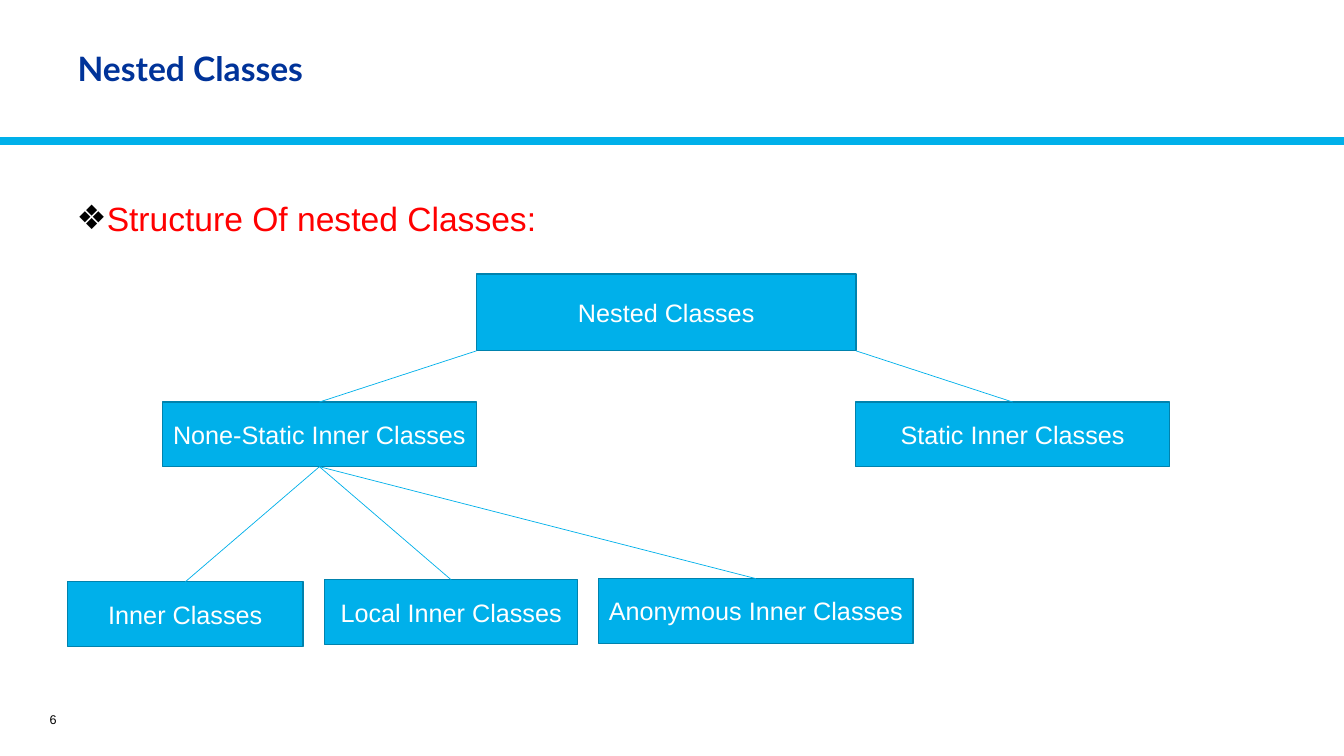
from lxml import etree
from pptx import Presentation, util as u
from pptx.dml.color import RGBColor
from pptx.enum import shapes, text
from pptx.oxml import ns

NAVY = RGBColor(0x00, 0x33, 0x99)
CYAN = RGBColor(0x00, 0xB0, 0xEA)
TEAL = RGBColor(0x00, 0x82, 0xAD)
RED = RGBColor(0xFF, 0x00, 0x00)
BLACK = RGBColor(0x00, 0x00, 0x00)
WHITE = RGBColor(0xFF, 0xFF, 0xFF)
WIDTH, HEIGHT = 33.87, 19.05
TOP, BOTTOM = 0, 2  # connection sites of a rectangle


class ClassTreePage:
    """Holds the style and the page; lengths are in centimetres."""

    def __init__(self, deck, font="Arial"):
        self.page = deck.slides.add_slide(deck.slide_layouts[1])
        self.font = font

    def place(self, box, left, top, width, height):
        box.left, box.top = u.Cm(left), u.Cm(top)
        box.width, box.height = u.Cm(width), u.Cm(height)

    def add_words(self, box, words, size, color, align, anchor, font=None, bold=False):
        frame = box.text_frame
        frame.word_wrap = True
        frame.auto_size = text.MSO_AUTO_SIZE.NONE
        frame.vertical_anchor = anchor
        para = frame.paragraphs[0]
        para.alignment = align
        para.space_before = u.Pt(0)
        span = para.add_run()
        span.text = words
        span.font.size = u.Pt(size)
        span.font.name = font or self.font
        span.font.bold = bold
        span.font.color.rgb = color
        return para

    def title(self, words, *area):
        box = self.page.shapes.title
        self.place(box, *area)
        para = self.add_words(box, words, 24, NAVY, text.PP_ALIGN.LEFT,
                              text.MSO_ANCHOR.MIDDLE, "Lato", True)
        para.line_spacing = 0.9

    def bullet(self, words, *area):
        box = self.page.placeholders[1]
        self.place(box, *area)
        para = self.add_words(box, words, 24, RED, text.PP_ALIGN.LEFT, text.MSO_ANCHOR.TOP)
        props = para._p.get_or_add_pPr()
        props.set("marL", str(u.Cm(0.58)))
        props.set("indent", str(-u.Cm(0.58)))
        color = etree.SubElement(props, ns.qn("a:buClr"))
        etree.SubElement(color, ns.qn("a:srgbClr"), val=str(BLACK))
        etree.SubElement(props, ns.qn("a:buFont"), typeface=self.font)
        etree.SubElement(props, ns.qn("a:buChar"), char="❖")

    def number(self, words, *area):
        box = self.page.shapes.add_textbox(*map(u.Cm, area))
        self.add_words(box, words, 9, BLACK, text.PP_ALIGN.RIGHT, text.MSO_ANCHOR.MIDDLE)

    def node(self, words, *area):
        box = self.page.shapes.add_shape(shapes.MSO_SHAPE.RECTANGLE, *map(u.Cm, area))
        box.shadow.inherit = False
        box.fill.solid()
        box.fill.fore_color.rgb = CYAN
        box.line.color.rgb = TEAL
        box.line.width = u.Pt(1)
        box.text_frame.margin_left = box.text_frame.margin_right = u.Cm(0.1)
        self.add_words(box, words, 18, WHITE, text.PP_ALIGN.CENTER, text.MSO_ANCHOR.MIDDLE)
        return box

    def line(self, start, end, weight=0.5):
        link = self.page.shapes.add_connector(shapes.MSO_CONNECTOR.STRAIGHT, *start, *end)
        link.line.color.rgb = CYAN
        link.line.width = u.Pt(weight)
        etree.SubElement(link._element.spPr, ns.qn("a:effectLst"))
        return link

    def branch(self, start, child, parent=None):
        link = self.line(start, (child.left + child.width // 2, child.top))
        if parent is not None:
            link.begin_connect(parent, BOTTOM)
        link.end_connect(child, TOP)


def main():
    deck = Presentation()
    deck.slide_width, deck.slide_height = u.Cm(WIDTH), u.Cm(HEIGHT)
    tree = ClassTreePage(deck)

    # Header and heading
    tree.line((0, u.Cm(3.56)), (u.Cm(WIDTH), u.Cm(3.56)), 6)
    tree.title("Nested Classes", 1.7, 0.36, 30.53, 2.82)
    tree.number("6", 0.23, 17.75, 1.45, 0.76)
    tree.bullet("Structure Of nested Classes:", 1.68, 4.85, 30.61, 11.99)

    # Boxes of the class tree
    root = tree.node("Nested Classes", 12.01, 6.91, 9.56, 1.93)
    inner = tree.node("None-Static Inner Classes", 4.09, 10.13, 7.92, 1.63)
    static = tree.node("Static Inner Classes", 21.56, 10.13, 7.92, 1.63)
    kinds = [tree.node(words, left, top, width, 1.63) for words, left, top, width in (
        ("Inner Classes", 1.7, 14.66, 5.94),
        ("Local Inner Classes", 8.18, 14.61, 6.38),
        ("Anonymous Inner Classes", 15.09, 14.58, 7.92),
    )]

    # Branches: from the lower corners of the root, then from the inner classes
    floor = root.top + root.height
    tree.branch((root.left, floor), inner)
    tree.branch((root.left + root.width, floor), static)
    fork = (inner.left + inner.width // 2, inner.top + inner.height)
    for kind in kinds:
        tree.branch(fork, kind, inner)

    deck.save("out.pptx")


if __name__ == "__main__":
    main()
